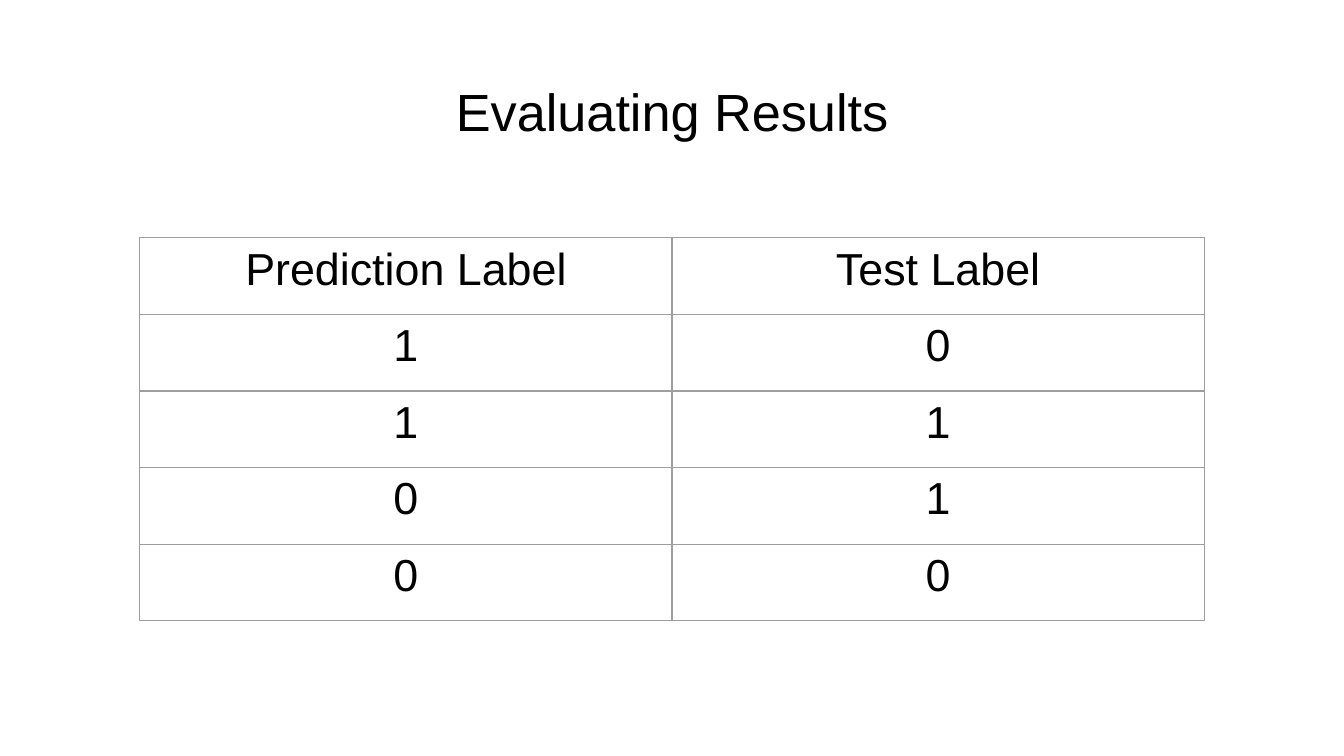
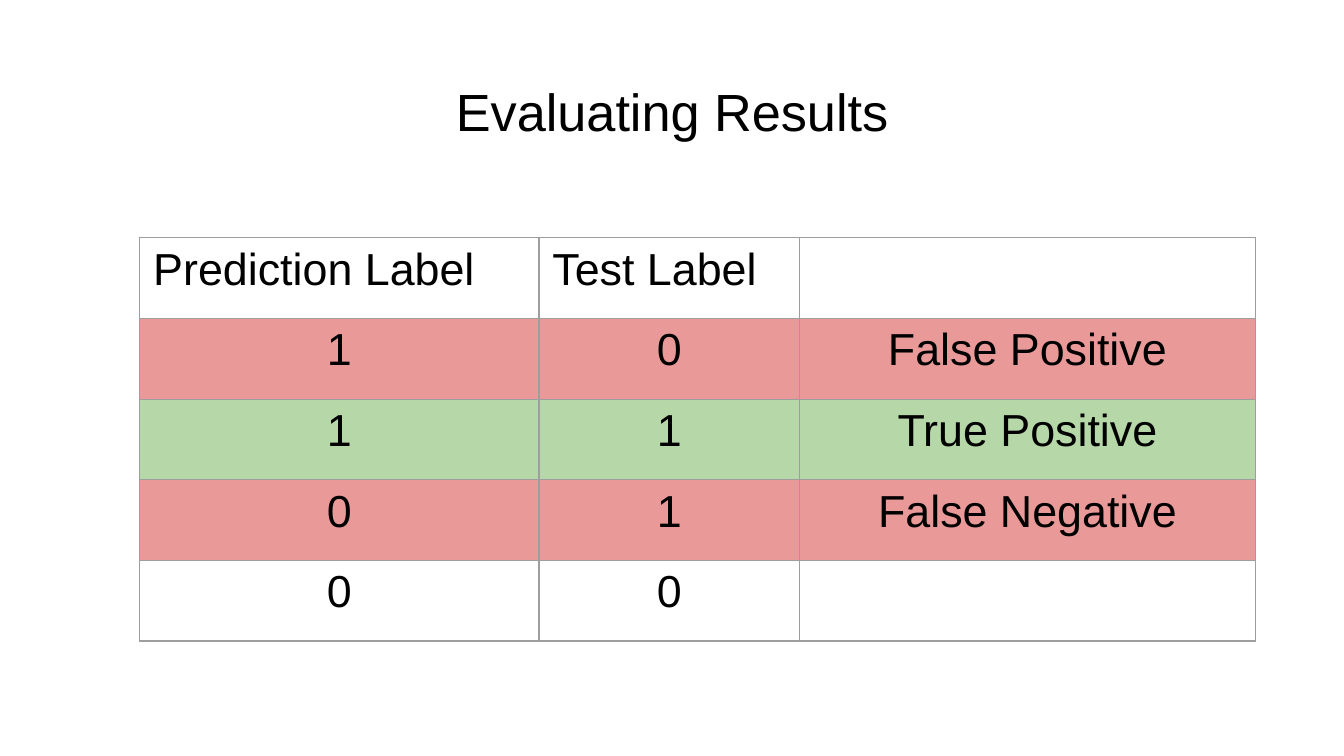
"""Build two slides that compare predicted labels with test labels."""
from lxml.etree import SubElement
from pptx import Presentation
from pptx.dml.color import RGBColor
from pptx.enum.text import MSO_ANCHOR, MSO_AUTO_SIZE, PP_ALIGN
from pptx.oxml import parse_xml
from pptx.oxml.ns import nsdecls, qn
from pptx.util import Inches, Pt

BLACK = RGBColor(0x00, 0x00, 0x00)
GRAY = RGBColor(0x9E, 0x9E, 0x9E)
RED = RGBColor(0xEA, 0x99, 0x99)
GREEN = RGBColor(0xB6, 0xD7, 0xA8)

TITLE = "Evaluating Results"
HEADER = ("Prediction Label", "Test Label")
LABELS = [("1", "0"), ("1", "1"), ("0", "1"), ("0", "0")]
OUTCOMES = ["False Positive", "True Positive", "False Negative", ""]

SLIDES = [
    {
        "rows": [HEADER, *LABELS],
        "fills": [None] * 5,
        "columns": (3.96, 3.96),
        "row_height": 0.57,
        "header_alignment": PP_ALIGN.CENTER,
    },
    {
        "rows": [(*HEADER, "")] + [(*pair, outcome) for pair, outcome in zip(LABELS, OUTCOMES)],
        "fills": [None, RED, GREEN, RED, None],
        "columns": (2.97, 1.94, 3.39),
        "row_height": 0.6,
        "header_alignment": PP_ALIGN.LEFT,
    },
]

SLIDE_WIDTH = Inches(10)
SLIDE_HEIGHT = SLIDE_WIDTH * 9 // 16
TITLE_BOX = {"left": 0.34, "top": 0.49, "width": 9.32, "height": 0.63}
TITLE_FRAME = {
    "word_wrap": True,
    "auto_size": MSO_AUTO_SIZE.NONE,
    "vertical_anchor": MSO_ANCHOR.TOP,
    "margin_left": Inches(0.1),
    "margin_right": Inches(0.1),
    "margin_top": Inches(0.1),
    "margin_bottom": Inches(0.1),
}
TABLE_LEFT, TABLE_TOP = 1.04, 1.77
TABLE_FLAGS = {"first_row": False, "horz_banding": False}
BORDER_WIDTH = Pt(0.75)
TITLE_FONT = {"name": "Arial", "size": Pt(28)}
CELL_FONT = {"name": "Arial", "size": Pt(24)}


def set_attributes(target, values):
    for name, value in values.items():
        setattr(target, name, value)


def write_text(paragraph, text, font, alignment):
    paragraph.text = text
    paragraph.alignment = alignment
    set_attributes(paragraph.font, font)
    paragraph.font.color.rgb = BLACK


def add_title(slide):
    title = slide.shapes.title
    set_attributes(title, {name: Inches(value) for name, value in TITLE_BOX.items()})
    set_attributes(title.text_frame, TITLE_FRAME)
    write_text(title.text_frame.paragraphs[0], TITLE, TITLE_FONT, PP_ALIGN.CENTER)


def add_borders(cell):
    properties = cell._tc.get_or_add_tcPr()
    for position, side in enumerate(("lnL", "lnR", "lnT", "lnB")):
        line = parse_xml(f'<a:{side} {nsdecls("a")} w="{BORDER_WIDTH}"/>')
        fill = SubElement(line, qn("a:solidFill"))
        SubElement(fill, qn("a:srgbClr"), val=str(GRAY))
        properties.insert(position, line)


def format_cell(cell, text, color, alignment):
    write_text(cell.text_frame.paragraphs[0], text, CELL_FONT, alignment)
    if color is None:
        cell.fill.background()
    else:
        cell.fill.solid()
        cell.fill.fore_color.rgb = color
    add_borders(cell)


def add_label_table(slide, content):
    rows, columns = content["rows"], content["columns"]
    frame = slide.shapes.add_table(
        len(rows), len(columns), Inches(TABLE_LEFT), Inches(TABLE_TOP),
        Inches(sum(columns)), Inches(content["row_height"] * len(rows)),
    )
    table = frame.table
    set_attributes(table, TABLE_FLAGS)
    for column, width in zip(table.columns, columns):
        column.width = Inches(width)
    for index, (texts, color) in enumerate(zip(rows, content["fills"])):
        table.rows[index].height = Inches(content["row_height"])
        alignment = PP_ALIGN.CENTER if index else content["header_alignment"]
        for cell, text in zip(table.rows[index].cells, texts):
            format_cell(cell, text, color, alignment)


def main():
    presentation = Presentation()
    presentation.slide_width = SLIDE_WIDTH
    presentation.slide_height = SLIDE_HEIGHT
    title_only = presentation.slide_layouts.get_by_name("Title Only")
    for content in SLIDES:
        slide = presentation.slides.add_slide(title_only)
        add_title(slide)
        add_label_table(slide, content)
    presentation.save("out.pptx")


if __name__ == "__main__":
    main()
